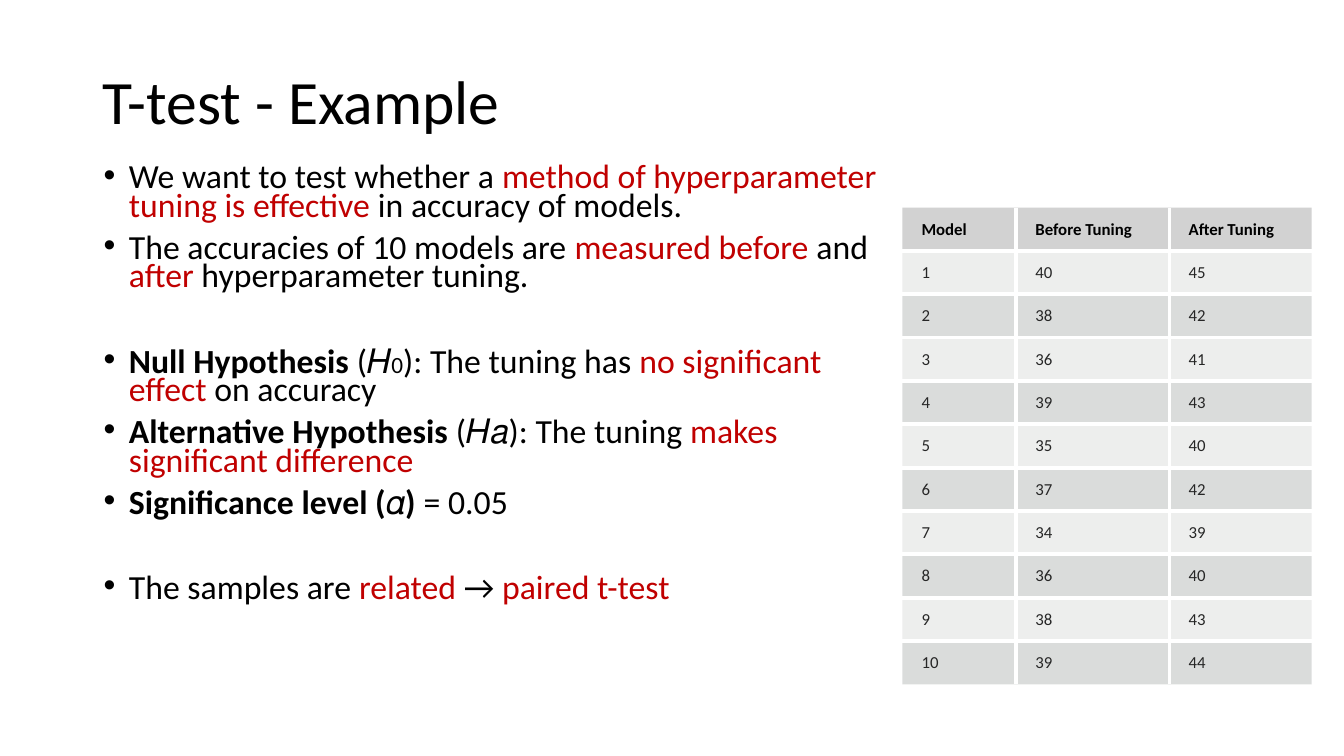
from lxml.etree import SubElement as Sub
from pptx import Presentation
from pptx.dml.color import RGBColor as Rgb
from pptx.enum.text import MSO_ANCHOR as Anchor
from pptx.oxml import parse_xml
from pptx.oxml.ns import nsdecls, qn
from pptx.util import Inches, Pt

FONT = "Calibri"
COLORS = {"text": "000000", "key": "C00000", "cell": "262626",
          "head": "BFBFBF", "band": "878E8B", "rule": "FFFFFF"}
SIZE, SUB = 24.1, 16.6
GAP, BREAK = 10, 40.6  # points before a bullet, and before a new group

# Each bullet: space before, then runs of (text, style)
POINTS = [
    (0, [("We want to test whether a ", ""),
         ("method of hyperparameter tuning is effective ", "key"),
         ("in accuracy of models.", "")]),
    (GAP, [("The accuracies of 10 models are ", ""), ("measured before", "key"),
           (" and ", ""), ("after", "key"), (" hyperparameter tuning.", "")]),
    (BREAK, [("Null Hypothesis", "bold"), (" (𝐻", ""), ("0", "sub"),
             ("): The tuning has ", ""), ("no significant effect", "key"),
             (" on accuracy", "")]),
    (GAP, [("Alternative Hypothesis ", "bold"), ("(𝐻𝑎): The tuning ", ""),
           ("makes significant difference", "key")]),
    (GAP, [("Significance level (𝛼) ", "bold"), ("= 0.05", "")]),
    (BREAK, [("The samples are ", ""), ("related ", "key"), ("→ ", ""),
             ("paired t-test", "key")]),
]
HEADS = ["Model", "Before Tuning", "After Tuning"]
BEFORE = [40, 38, 36, 39, 35, 37, 34, 36, 38, 39]
AFTER = [45, 42, 41, 43, 40, 42, 39, 40, 43, 44]
WIDTHS = [1.13, 1.52, 1.41]


def add_run(para, text, size, color="text", bold=False):
    run = para.add_run()
    run.text = text
    font = run.font
    font.name, font.size, font.bold = FONT, Pt(size), bold
    font.color.rgb = Rgb.from_string(COLORS[color])


def add_box(slide, box):
    frame = slide.shapes.add_textbox(*map(Inches, box)).text_frame
    frame.word_wrap = True
    return frame


def add_title(slide, box, text):
    frame = add_box(slide, box)
    frame.vertical_anchor = Anchor.MIDDLE
    para = frame.paragraphs[0]
    para.line_spacing = 0.9
    add_run(para, text, 44)


def add_points(slide, box, points):
    frame = add_box(slide, box)
    for i, (space, runs) in enumerate(points):
        para = frame.add_paragraph() if i else frame.paragraphs[0]
        para.line_spacing, para.space_before = 0.7, Pt(space)
        # Hanging bullet
        props = para._p.get_or_add_pPr()
        props.set("marL", str(Inches(0.25)))
        props.set("indent", str(Inches(-0.25)))
        Sub(props, qn("a:buFont"), typeface="Arial")
        Sub(props, qn("a:buChar"), char="•")
        for text, style in runs:
            add_run(para, text, SUB if style == "sub" else SIZE,
                    "key" if style == "key" else "text", style == "bold")


def style_cell(cell, color, alpha, sides):
    cell.vertical_anchor = Anchor.MIDDLE
    cell.margin_left = Inches(0.19)
    cell.margin_right = cell.margin_top = cell.margin_bottom = Inches(0.11)
    cell.fill.solid()
    cell.fill.fore_color.rgb = Rgb.from_string(COLORS[color])
    props = cell._tc.get_or_add_tcPr()
    tint = props.find(".//" + qn("a:srgbClr"))
    Sub(tint, qn("a:alpha"), val=str(alpha * 1000))
    # Borders come before the fill
    for i, side in enumerate("LRTB"):
        paint = "<a:noFill/>"
        if side in sides:
            paint = f'<a:solidFill><a:srgbClr val="{COLORS["rule"]}"/></a:solidFill>'
        line = f'<a:ln{side} {nsdecls("a")} w="{Pt(3)}">{paint}</a:ln{side}>'
        props.insert(i, parse_xml(line))


def add_scores(slide, box, rows):
    last, end = len(rows) - 1, len(WIDTHS) - 1
    table = slide.shapes.add_table(last + 1, end + 1, *map(Inches, box)).table
    table.first_row = table.horz_banding = False
    for col, width in zip(table.columns, WIDTHS):
        col.width = Inches(width)
    for r, row in enumerate(rows):
        table.rows[r].height = Inches(box[3] / len(rows))
        for c, value in enumerate(row):
            cell = table.cell(r, c)
            # Rules run only between cells
            sides = ("L" * (c > 0) + "R" * (c < end)
                     + "T" * (r > 0) + "B" * (r < last))
            if r == 0:
                style_cell(cell, "head", 70, sides)
            else:
                style_cell(cell, "band", 15 if r % 2 else 30, sides)
            add_run(cell.text_frame.paragraphs[0], str(value), 12,
                    "cell" if r else "text", r == 0)


def main():
    deck = Presentation()
    deck.slide_width, deck.slide_height = Inches(13.33), Inches(7.5)
    slide = deck.slides.add_slide(deck.slide_layouts[6])
    add_title(slide, (0.92, 0.31, 11.5, 1.45), "T-test - Example")
    add_points(slide, (0.93, 1.6, 7.88, 4.76), POINTS)
    rows = [HEADS, *zip(range(1, 11), BEFORE, AFTER)]
    add_scores(slide, (8.95, 2.06, sum(WIDTHS), 4.73), rows)
    deck.save("out.pptx")


if __name__ == "__main__":
    main()
